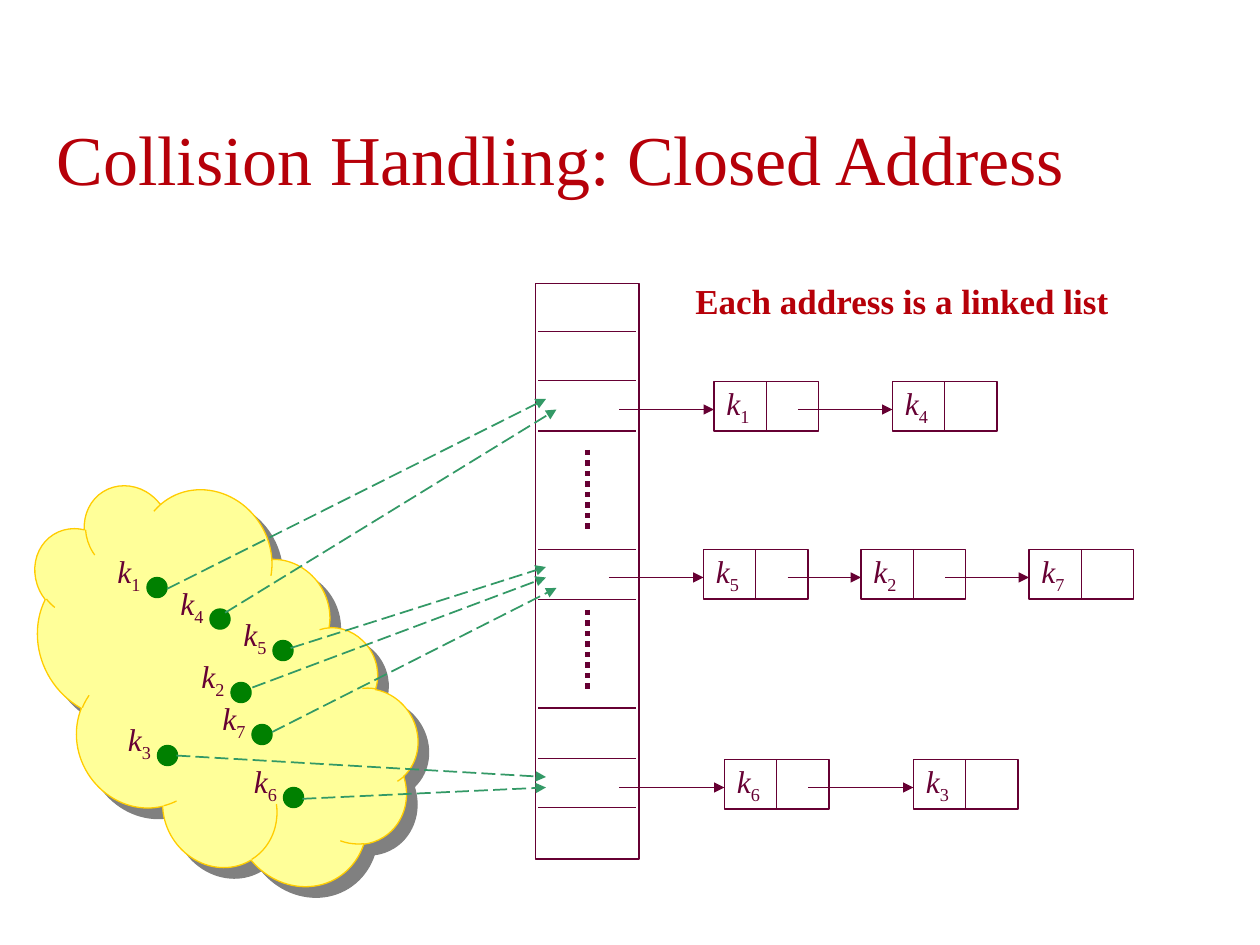
import pptx
import pptx.util
import pptx.dml.color
import pptx.enum.dml
import pptx.enum.shapes
import pptx.enum.text
import pptx.oxml
import pptx.oxml.ns

RED = pptx.dml.color.RGBColor(0xB6, 0x00, 0x09)
PLUM = pptx.dml.color.RGBColor(0x66, 0x00, 0x33)
GREEN = pptx.dml.color.RGBColor(0x00, 0x80, 0x00)
SEA = pptx.dml.color.RGBColor(0x33, 0x99, 0x66)
YELLOW = pptx.dml.color.RGBColor(0xFF, 0xFF, 0x99)
GOLD = pptx.dml.color.RGBColor(0xFF, 0xCC, 0x00)
MSO = pptx.enum.shapes.MSO_SHAPE
DASH = pptx.enum.dml.MSO_LINE
ANCHOR = pptx.enum.text.MSO_ANCHOR
FONT = "Times New Roman"

TITLE = "Collision Handling: Closed Address"
NOTE = "Each address is a linked list"

# GRID is one twelfth of an inch
GRID = 1 / 12
TABLE = (4.25, 2.25, 0.82, 4.57)
SLOT_LINES = [2.63, 3.02, 3.42, 4.36, 4.76, 5.62, 6.02, 6.41]
GAPS = [(3.57, 4.2), (4.84, 5.47)]
LISTS = [
    (39, 59, [("1", 68), ("4", 85)]),
    (55, 58, [("5", 67), ("2", 82), ("7", 98)]),
    (75, 59, [("6", 69), ("3", 87)]),
]
NODE_W, NODE_H, DOT = 0.83, 0.39, 0.16
KEYS = [
    ("1", (14, 55), (0.16, 0.09), (52, 38)),
    ("4", (20, 58), (0.12, 0.03), (53, 39)),
    ("5", (26, 61), (0.14, 0.06), (52, 54)),
    ("2", (22, 65), (0.17, 0.04), (52, 55)),
    ("7", (24, 69), (0.16, 0.06), (53, 56)),
    ("3", (15, 71), (0.15, 0.08), (52, 74)),
    ("6", (27, 75), (0.15, 0.09), (52, 75)),
]

prs = pptx.Presentation()
prs.slide_width = pptx.util.Inches(10)
prs.slide_height = pptx.util.Inches(7.5)
s = prs.slides.add_slide(prs.slide_layouts[6])


def inches(*values):
    return [pptx.util.Inches(v) for v in values]


def add_xml(parent, xml):
    ns = pptx.oxml.ns.nsdecls("a")
    parent.append(pptx.oxml.parse_xml(xml.replace(" ", f" {ns} ", 1)))


def add_text(text, box, sub="", size=18, color=PLUM, bold=False, italic=False,
             anchor=ANCHOR.TOP):
    tf = s.shapes.add_textbox(*inches(*box)).text_frame
    tf.word_wrap = True
    tf.vertical_anchor = anchor
    p = tf.paragraphs[0]
    for part, slanted in ((text, italic), (sub, False)):
        if part:
            r = p.add_run()
            r.text = part
            r.font.name = FONT
            r.font.size = pptx.util.Pt(size)
            r.font.color.rgb = color
            r.font.bold = bold
            r.font.italic = slanted
    if sub:
        r.font._element.set("baseline", "-25000")


def add_shape(kind, box, line, width=0.75, fill=None):
    sp = s.shapes.add_shape(kind, *inches(*box))
    sp.shadow.inherit = False
    if fill is None:
        sp.fill.background()
    else:
        sp.fill.solid()
        sp.fill.fore_color.rgb = fill
    sp.line.color.rgb = line
    sp.line.width = pptx.util.Pt(width)
    return sp


def add_line(start, end, color=PLUM, width=0.75, dash=None, arrow=False):
    c = s.shapes.add_connector(pptx.enum.shapes.MSO_CONNECTOR.STRAIGHT,
                               *inches(*start, *end))
    c.line.color.rgb = color
    c.line.width = pptx.util.Pt(width)
    if dash is not None:
        c.line.dash_style = dash
    if arrow:
        add_xml(c.line._get_or_add_ln(), '<a:tailEnd type="triangle"/>')
    add_xml(c._element.spPr, "<a:effectLst />")


def add_key(key, x, y, w):
    add_text("k", (x, y, w, 0.44), sub=key, italic=True)


cloud = add_shape(MSO.CLOUD, (-0.08, 4.25, 3.58, 2.42), GOLD, fill=YELLOW)
cloud.rotation = 58.1
effects = cloud._element.spPr.find(pptx.oxml.ns.qn("a:effectLst"))
add_xml(effects, '<a:outerShdw dist="107950" dir="2700000" algn="ctr" rotWithShape="0">'
                 '<a:srgbClr val="808080"/></a:outerShdw>')

add_text(TITLE, (0.35, 0.86, 9.45, 0.77), size=40, color=RED, anchor=ANCHOR.BOTTOM)

add_shape(MSO.RECTANGLE, TABLE, PLUM, width=1)
left, right = TABLE[0] + 0.02, TABLE[0] + TABLE[2] - 0.02
for y in SLOT_LINES:
    add_line((left, y), (right, y))
middle = TABLE[0] + TABLE[2] / 2
for top, bottom in GAPS:
    add_line((middle, top), (middle, bottom), width=3, dash=DASH.ROUND_DOT)

for row, slot, nodes in LISTS:
    y = row * GRID
    top, source = y - 0.22, slot * GRID
    for key, col in nodes:
        x = col * GRID
        add_shape(MSO.RECTANGLE, (x, top, NODE_W, NODE_H), PLUM)
        add_line((x + NODE_W / 2, top), (x + NODE_W / 2, top + NODE_H))
        add_key(key, x, y - 0.25, 0.5)
        add_line((source, y), (x, y), arrow=True)
        source = x + 8 * GRID

for key, (col, row), (dx, dy), (to_col, to_row) in KEYS:
    x, y = col * GRID, row * GRID
    add_shape(MSO.OVAL, (x, y, DOT, DOT), GREEN, fill=GREEN)
    add_key(key, x - 4 * GRID, y - 3 * GRID, 8 * GRID)
    add_line((x + dx, y + dy), (to_col * GRID, to_row * GRID), color=SEA, width=1,
             dash=DASH.LONG_DASH, arrow=True)

add_text(NOTE, (5.42, 2.17, 3.67, 0.44), size=20, color=RED, bold=True)

prs.save("out.pptx")
